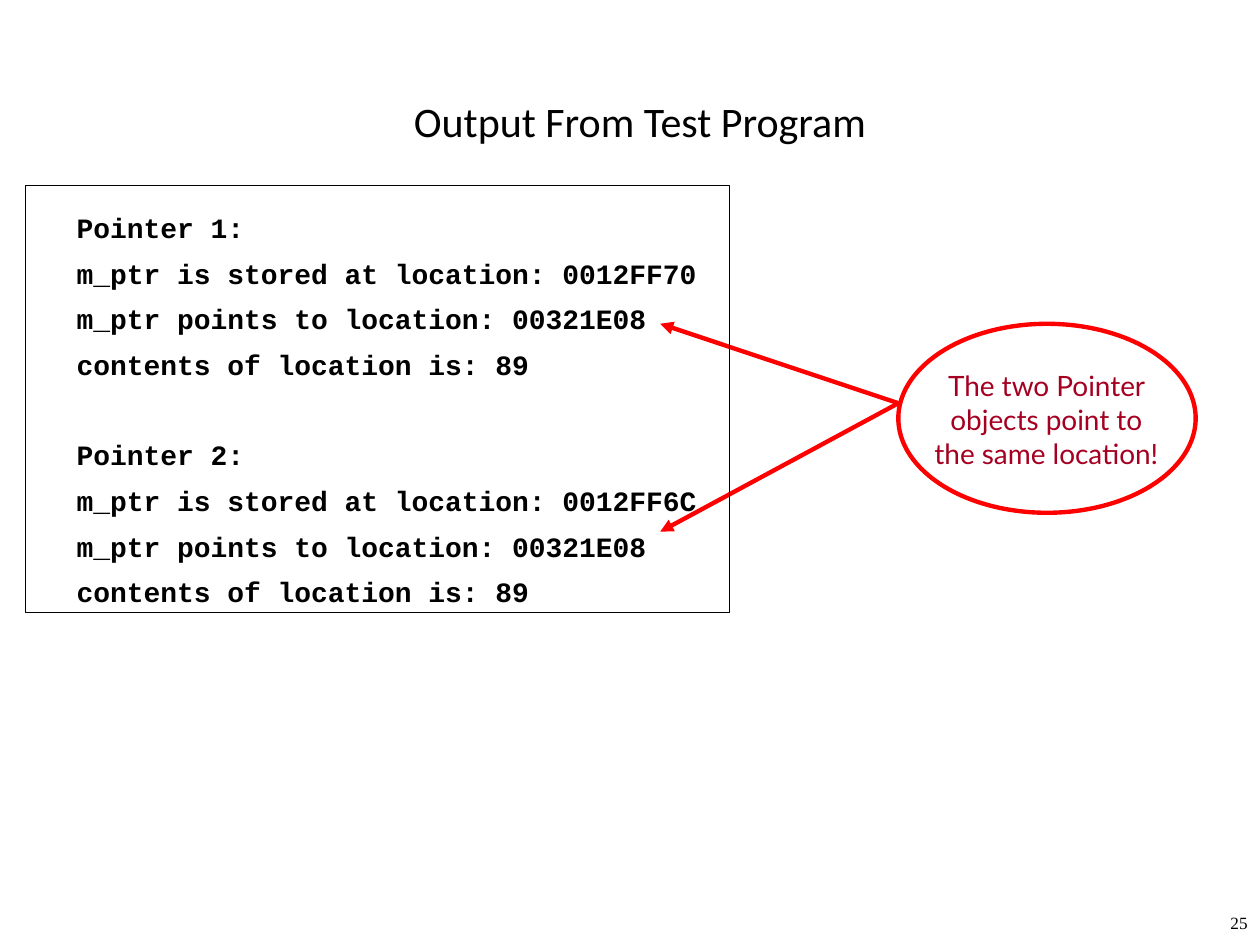
from lxml import etree
from pptx import Presentation
from pptx import util as u
from pptx.dml.color import RGBColor
from pptx.enum import shapes, text
from pptx.oxml import ns

# Content
TITLE = "Output From Test Program"
POINTERS = [
    ("Pointer 1:", "0012FF70", "00321E08", "89"),
    ("Pointer 2:", "0012FF6C", "00321E08", "89"),
]
CALLOUT = "The two Pointer objects point to the same location!"
SLIDE_NUMBER = "25"
COLORS = {"black": "000000", "red": "FF0000", "crimson": "A50021"}

# Grid of 100 columns by 75 rows; boxes are left, top, width, height
COLUMNS, ROWS = 100, 75
TITLE_BOX = (8.3, 6, 85, 7.1)
OUTPUT_BOX = (5.1, 16.2, 90.6, 34.7)
FRAME_BOX = (2, 14.7, 55.9, 33.9)
ELLIPSE_BOX = (71.3, 25.7, 23.6, 15)
CALLOUT_BOX = (72.8, 28.8, 20.5, 11.7)
NUMBER_BOX = (91.2, 72.2, 8.8, 2.8)
ARROW_START = (71.3, 32)
ARROW_ENDS = [(52.4, 25.7), (52.4, 42.2)]
LINE_GAP, GROUP_GAP = 5, 30

presentation = Presentation()
presentation.slide_width, presentation.slide_height = u.Inches(10), u.Inches(7.5)
slide = presentation.slides.add_slide(presentation.slide_layouts[6])


def place(*lengths):
    """Turn alternating column and row counts into slide lengths."""
    units = (presentation.slide_width / COLUMNS, presentation.slide_height / ROWS)
    return [u.Emu(round(length * units[i % 2])) for i, length in enumerate(lengths)]


def add_text(box, lines, *, font, size, color="black", bold=False,
             align=text.PP_ALIGN.LEFT, anchor=text.MSO_ANCHOR.TOP,
             before=None, after=0, spacing=1.0, hanging=0):
    """Add one paragraph a line; before lists the space above each."""
    frame = slide.shapes.add_textbox(*place(*box)).text_frame
    frame.word_wrap = True
    frame.vertical_anchor = anchor
    for i, line in enumerate(lines):
        paragraph = frame.paragraphs[0] if i == 0 else frame.add_paragraph()
        paragraph.alignment = align
        paragraph.line_spacing = spacing
        paragraph.space_before = u.Pt(before[i] if before else 0)
        paragraph.space_after = u.Pt(after)
        if hanging:
            properties = paragraph._p.get_or_add_pPr()
            properties.set("marL", str(u.Inches(hanging)))
            properties.set("indent", str(-u.Inches(hanging)))
        run = paragraph.add_run()
        run.text = line
        run.font.name, run.font.size, run.font.bold = font, u.Pt(size), bold
        run.font.color.rgb = RGBColor.from_string(COLORS[color])


def style_line(line, color, width):
    line.color.rgb = RGBColor.from_string(COLORS[color])
    line.width = u.Pt(width)


def add_outline(kind, box, color, width):
    shape = slide.shapes.add_shape(kind, *place(*box))
    shape.shadow.inherit = False
    shape.fill.background()
    style_line(shape.line, color, width)


def add_arrow(start, end):
    arrow = slide.shapes.add_connector(
        shapes.MSO_CONNECTOR.STRAIGHT, *place(*start, *end))
    style_line(arrow.line, "red", 2.5)
    etree.SubElement(arrow.line._get_or_add_ln(), ns.qn("a:tailEnd"), type="triangle")
    etree.SubElement(arrow._element.spPr, ns.qn("a:effectLst"))


# Title and slide number
add_text(TITLE_BOX, [TITLE], font="Calibri", size=24,
         align=text.PP_ALIGN.CENTER, anchor=text.MSO_ANCHOR.MIDDLE)
add_text(NUMBER_BOX, [SLIDE_NUMBER], font="Times New Roman", size=9.8,
         align=text.PP_ALIGN.RIGHT, spacing=0.8)

# Program output, with a wider gap above the second pointer
output_lines, gaps = [], []
for name, stored, target, contents in POINTERS:
    gaps += [GROUP_GAP if output_lines else LINE_GAP] + [LINE_GAP] * 3
    output_lines += [
        name,
        f"m_ptr is stored at location: {stored}",
        f"m_ptr points to location: {target}",
        f"contents of location is: {contents}",
    ]
add_text(OUTPUT_BOX, output_lines, font="Courier New", size=16, bold=True,
         before=gaps, after=2, hanging=0.38)

# Callout with arrows to the shared location
add_outline(shapes.MSO_SHAPE.OVAL, ELLIPSE_BOX, "red", 2.5)
add_text(CALLOUT_BOX, [CALLOUT], font="Lato", size=16, color="crimson",
         align=text.PP_ALIGN.CENTER)
for arrow_end in ARROW_ENDS:
    add_arrow(ARROW_START, arrow_end)

# Frame around the output
add_outline(shapes.MSO_SHAPE.RECTANGLE, FRAME_BOX, "black", 0.75)

presentation.save("out.pptx")
